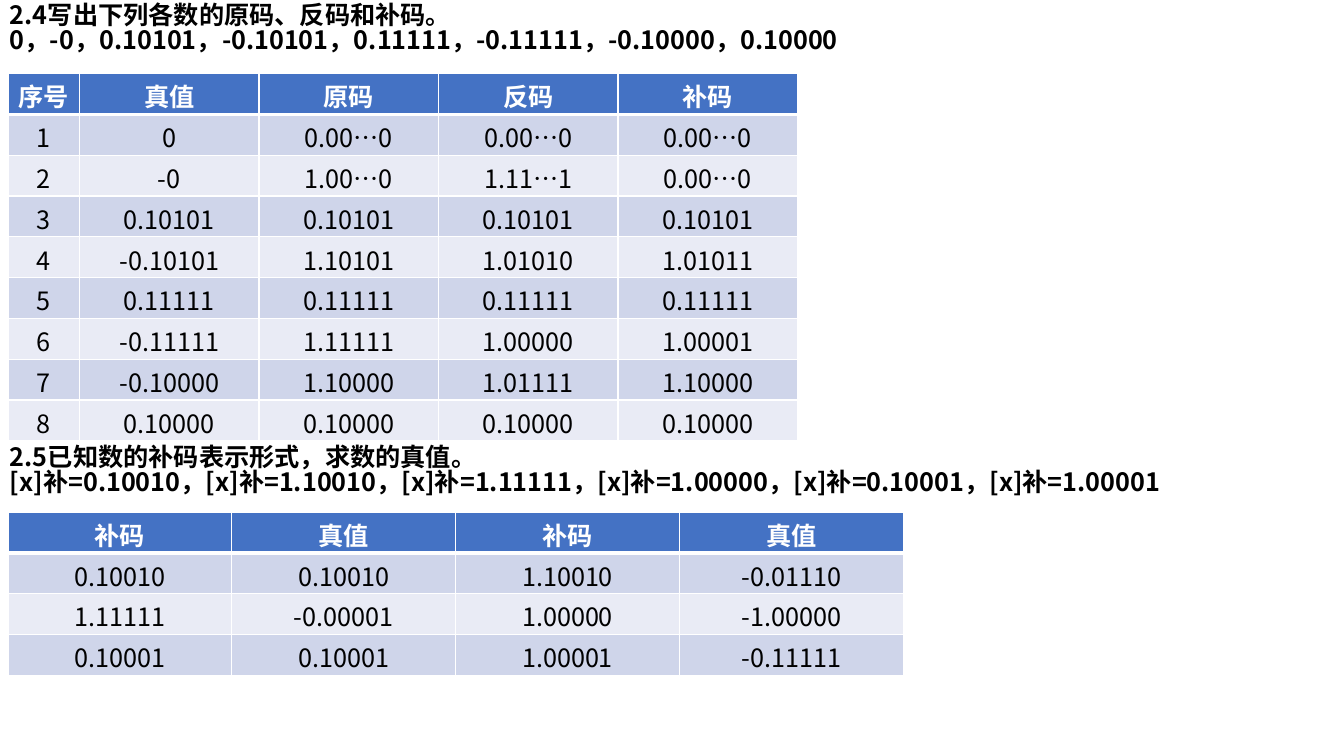
import pptx
import pptx.dml.color
import pptx.enum.lang
import pptx.enum.text
import pptx.oxml
import pptx.oxml.ns
import pptx.util

Inches, Pt = pptx.util.Inches, pptx.util.Pt
RGBColor = pptx.dml.color.RGBColor

WHITE = RGBColor(0xFF, 0xFF, 0xFF)
BLACK = RGBColor(0, 0, 0)
HEADER_BLUE = RGBColor(0x44, 0x72, 0xC4)
BANDS = (RGBColor(0xCF, 0xD5, 0xEA), RGBColor(0xE9, 0xEB, 0xF5))

FONT = "Noto Sans CJK SC"
SLIDE_WIDTH, SLIDE_HEIGHT = 13.33, 7.5
TABLE_LEFT = 0.08
ROW_HEIGHT = 0.405
HEADING_SPACING = 0.82

CODE_QUESTION = (
    "2.4写出下列各数的原码、反码和补码。",
    "0，-0，0.10101，-0.10101，0.11111，-0.11111，-0.10000，0.10000",
)
CODE_ROWS = (
    ("序号", "真值", "原码", "反码", "补码"),
    ("1", "0", "0.00…0", "0.00…0", "0.00…0"),
    ("2", "-0", "1.00…0", "1.11…1", "0.00…0"),
    ("3", "0.10101", "0.10101", "0.10101", "0.10101"),
    ("4", "-0.10101", "1.10101", "1.01010", "1.01011"),
    ("5", "0.11111", "0.11111", "0.11111", "0.11111"),
    ("6", "-0.11111", "1.11111", "1.00000", "1.00001"),
    ("7", "-0.10000", "1.10000", "1.01111", "1.10000"),
    ("8", "0.10000", "0.10000", "0.10000", "0.10000"),
)
VALUE_QUESTION = (
    "2.5已知数的补码表示形式，求数的真值。",
    "[x]补=0.10010，[x]补=1.10010，[x]补=1.11111，"
    "[x]补=1.00000，[x]补=0.10001，[x]补=1.00001",
)
VALUE_ROWS = (
    ("补码", "真值", "补码", "真值"),
    ("0.10010", "0.10010", "1.10010", "-0.01110"),
    ("1.11111", "-0.00001", "1.00000", "-1.00000"),
    ("0.10001", "0.10001", "1.00001", "-0.11111"),
)


def add_run(paragraph, text, color, bold):
    run = paragraph.add_run()
    run.text = text
    font = run.font
    font.size, font.bold, font.name = Pt(18), bold, FONT
    font.color.rgb = color
    font.language_id = pptx.enum.lang.MSO_LANGUAGE_ID.SIMPLIFIED_CHINESE
    east_asian = pptx.oxml.parse_xml(
        f'<a:ea {pptx.oxml.ns.nsdecls("a")} typeface="{FONT}"/>')
    run._r.get_or_add_rPr().find(pptx.oxml.ns.qn("a:latin")).addnext(east_asian)


def add_question(slide, top, height, lines):
    box = slide.shapes.add_textbox(
        0, Inches(top), Inches(SLIDE_WIDTH), Inches(height))
    frame = box.text_frame
    frame.word_wrap = True
    for index, line in enumerate(lines):
        paragraph = frame.paragraphs[0] if index == 0 else frame.add_paragraph()
        paragraph.line_spacing = HEADING_SPACING
        add_run(paragraph, line, BLACK, True)


def add_borders(cell, top_width, bottom_width):
    widths = {"lnL": 1, "lnR": 1, "lnT": top_width, "lnB": bottom_width}
    for side, width in widths.items():
        cell._tc.get_or_add_tcPr().append(pptx.oxml.parse_xml(
            f'<a:{side} {pptx.oxml.ns.nsdecls("a")} w="{Pt(width)}">'
            f'<a:solidFill><a:srgbClr val="{WHITE}"/></a:solidFill></a:{side}>'))


def fill_cell(cell, text, row):
    is_header = row == 0
    add_borders(cell, 3 if row == 1 else 1, 3 if is_header else 1)
    cell.fill.solid()
    cell.fill.fore_color.rgb = HEADER_BLUE if is_header else BANDS[(row - 1) % 2]
    cell.margin_top, cell.margin_bottom = Inches(0.04), 0
    paragraph = cell.text_frame.paragraphs[0]
    paragraph.alignment = pptx.enum.text.PP_ALIGN.CENTER
    add_run(paragraph, text, WHITE if is_header else BLACK, is_header)


def add_answers(slide, top, column_widths, rows):
    table = slide.shapes.add_table(
        len(rows), len(column_widths), Inches(TABLE_LEFT), Inches(top),
        Inches(sum(column_widths)), Inches(ROW_HEIGHT * len(rows))).table
    for column, width in zip(table.columns, column_widths):
        column.width = Inches(width)
    for row, texts in enumerate(rows):
        table.rows[row].height = Inches(ROW_HEIGHT)
        for column, text in enumerate(texts):
            fill_cell(table.cell(row, column), text, row)


def main():
    deck = pptx.Presentation()
    deck.slide_width = Inches(SLIDE_WIDTH)
    deck.slide_height = Inches(SLIDE_HEIGHT)
    slide = deck.slides.add_slide(deck.slide_layouts.get_by_name("Blank"))
    add_question(slide, 0, 1.01, CODE_QUESTION)
    add_answers(slide, 0.73, [0.71] + [1.78] * 4, CODE_ROWS)
    add_question(slide, 4.38, 0.71, VALUE_QUESTION)
    add_answers(slide, 5.08, [2.22] * 4, VALUE_ROWS)
    deck.save("out.pptx")


if __name__ == "__main__":
    main()
